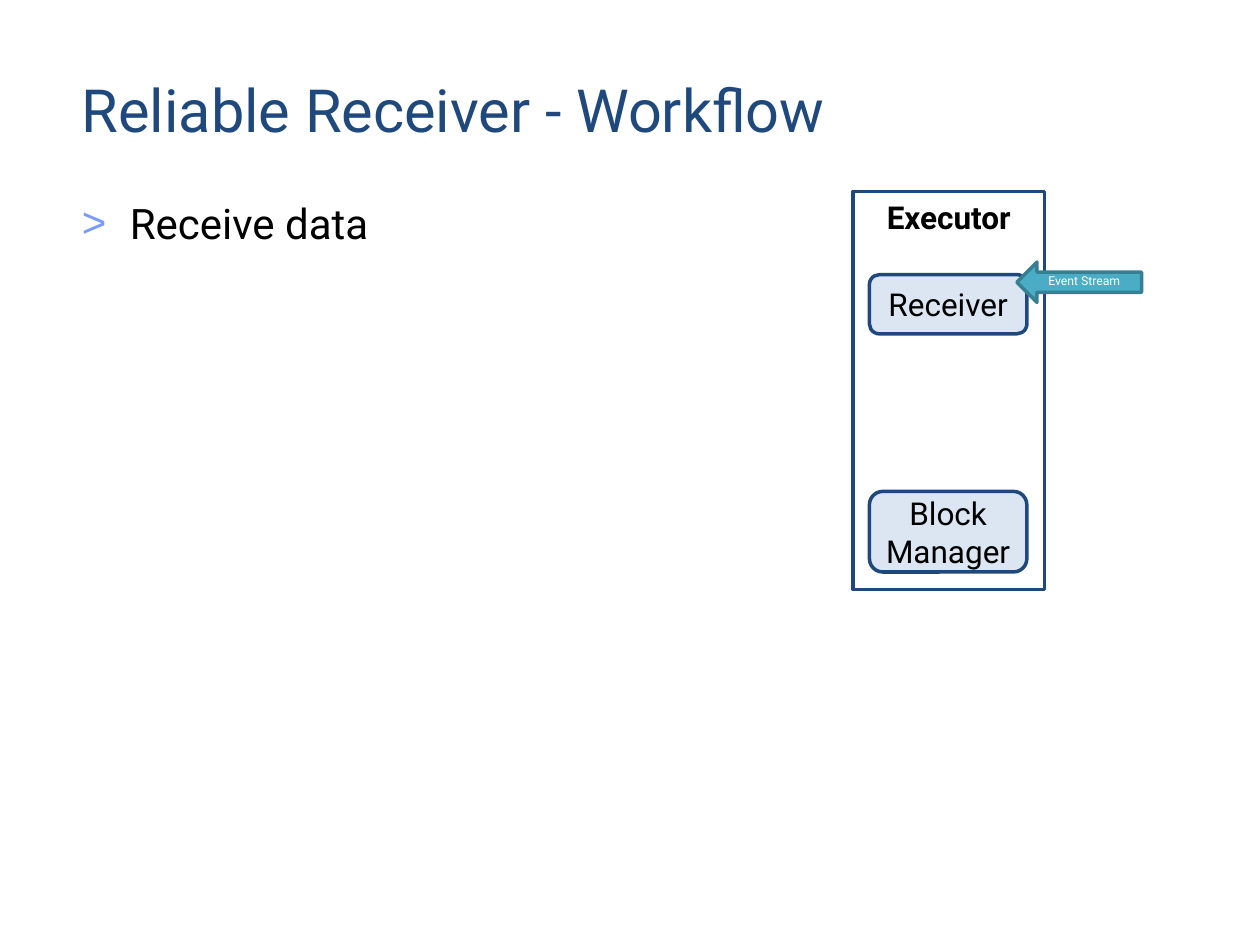
"""Build the reliable receiver workflow slide."""
from dataclasses import dataclass
from typing import Any

from lxml import etree
from pptx import Presentation
from pptx import util as u
from pptx.dml.color import RGBColor
from pptx.enum import shapes, text
from pptx.oxml.ns import qn

COLS, ROWS = 100, 75


@dataclass(frozen=True)
class Theme:
    """Colours, type sizes and line width of the slide."""
    font: str = "Roboto"
    navy: str = "1F497D"
    pale: str = "DCE6F2"
    teal: str = "4BACC6"
    deep_teal: str = "377F92"
    bullet: str = "799BFF"
    black: str = "000000"
    white: str = "FFFFFF"
    title_size: int = 34
    body_size: int = 24
    label_size: int = 18
    small_size: int = 7
    line_width: int = 2


@dataclass(frozen=True)
class Area:
    """A place in columns and rows of the slide grid."""
    col: float
    row: float
    cols: float
    rows: float


@dataclass(frozen=True)
class Box:
    """A labelled shape of the diagram."""
    label: str
    kind: Any
    area: Area
    fill: str
    line: str
    color: str
    size: int
    bold: bool = False
    anchor: Any = text.MSO_ANCHOR.MIDDLE
    spacing: float = 1.0


T = Theme()
KIND = shapes.MSO_SHAPE
RECEIVER_COL, RECEIVER_COLS = 69, 12.5
BOXES = (
    Box("Executor", KIND.RECTANGLE, Area(67.7, 15.2, 15.2, 31.6), T.white, T.navy,
        T.black, T.label_size, True, text.MSO_ANCHOR.TOP),
    Box("Receiver", KIND.ROUNDED_RECTANGLE, Area(RECEIVER_COL, 21.8, RECEIVER_COLS, 4.7),
        T.pale, T.navy, T.black, T.label_size),
    Box("Event Stream", KIND.LEFT_ARROW, Area(80.7, 20.8, 9.9, 3.2), T.teal, T.deep_teal,
        T.white, T.small_size, spacing=0.8),
    Box("Block Manager", KIND.ROUNDED_RECTANGLE, Area(RECEIVER_COL, 39, RECEIVER_COLS, 6.4),
        T.pale, T.navy, T.black, T.label_size),
)


def set_all(target: Any, values: dict[str, Any]) -> None:
    """Set each named attribute of the target."""
    for name, value in values.items():
        setattr(target, name, value)


def frame(prs: Any, area: Area) -> dict[str, int]:
    """Turn a grid area into slide lengths."""
    col, row = prs.slide_width / COLS, prs.slide_height / ROWS
    return {"left": round(area.col * col), "top": round(area.row * row),
            "width": round(area.cols * col), "height": round(area.rows * row)}


def write(sp: Any, label: str, size: int, color: str, align: Any, anchor: Any,
          bold: bool = False, spacing: float = 1.0) -> None:
    """Write one formatted paragraph into a shape."""
    tf = sp.text_frame
    set_all(tf, {"word_wrap": True, "auto_size": text.MSO_AUTO_SIZE.NONE,
                 "vertical_anchor": anchor})
    p = tf.paragraphs[0]
    set_all(p, {"alignment": align, "line_spacing": spacing, "space_before": u.Pt(0)})
    r = p.add_run()
    r.text = label
    set_all(r.font, {"name": T.font, "size": u.Pt(size), "bold": bold})
    r.font.color.rgb = RGBColor.from_string(color)


def add_bullet(p: Any, char: str, color: str, indent: int) -> None:
    """Give a paragraph a coloured bullet with a hanging indent."""
    pPr = p._p.get_or_add_pPr()
    pPr.set("marL", str(indent))
    pPr.set("indent", str(-indent))
    clr = etree.SubElement(pPr, qn("a:buClr"))
    etree.SubElement(clr, qn("a:srgbClr"), val=color)
    etree.SubElement(pPr, qn("a:buChar"), char=char)


def draw_box(prs: Any, s: Any, box: Box) -> None:
    """Draw a labelled shape."""
    sp = s.shapes.add_shape(box.kind, **frame(prs, box.area))
    sp.shadow.inherit = False
    sp.fill.solid()
    sp.fill.fore_color.rgb = RGBColor.from_string(box.fill)
    sp.line.color.rgb = RGBColor.from_string(box.line)
    sp.line.width = u.Pt(T.line_width)
    write(sp, box.label, box.size, box.color, text.PP_ALIGN.CENTER, box.anchor,
          box.bold, box.spacing)


def main() -> None:
    """Build and save the slide."""
    prs = Presentation()
    set_all(prs, {"slide_width": u.Inches(10), "slide_height": u.Inches(7.5)})
    s = prs.slides.add_slide(prs.slide_layouts[1])
    title, body = s.shapes.title, s.placeholders[1]
    set_all(title, frame(prs, Area(5.5, 3.9, 89.5, 9.5)))
    write(title, "Reliable Receiver - Workflow", T.title_size, T.navy,
          text.PP_ALIGN.LEFT, text.MSO_ANCHOR.MIDDLE)
    set_all(body, frame(prs, Area(5.5, 15.2, 59.9, 48.7)))
    add_bullet(body.text_frame.paragraphs[0], ">", T.bullet, u.Inches(0.38))
    write(body, "Receive data", T.body_size, T.black,
          text.PP_ALIGN.LEFT, text.MSO_ANCHOR.TOP)
    for box in BOXES:
        draw_box(prs, s, box)
    prs.save("out.pptx")


if __name__ == "__main__":
    main()
